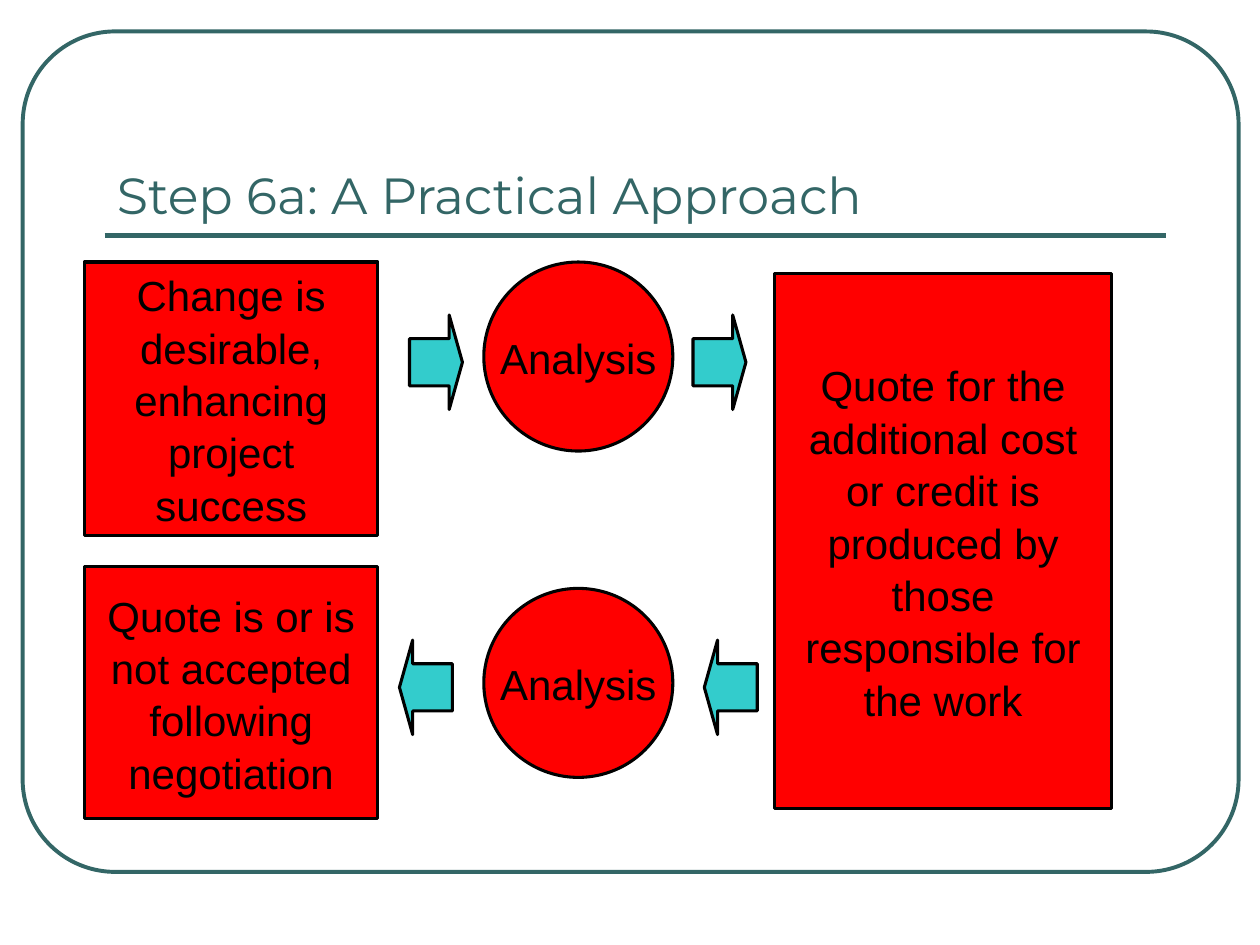
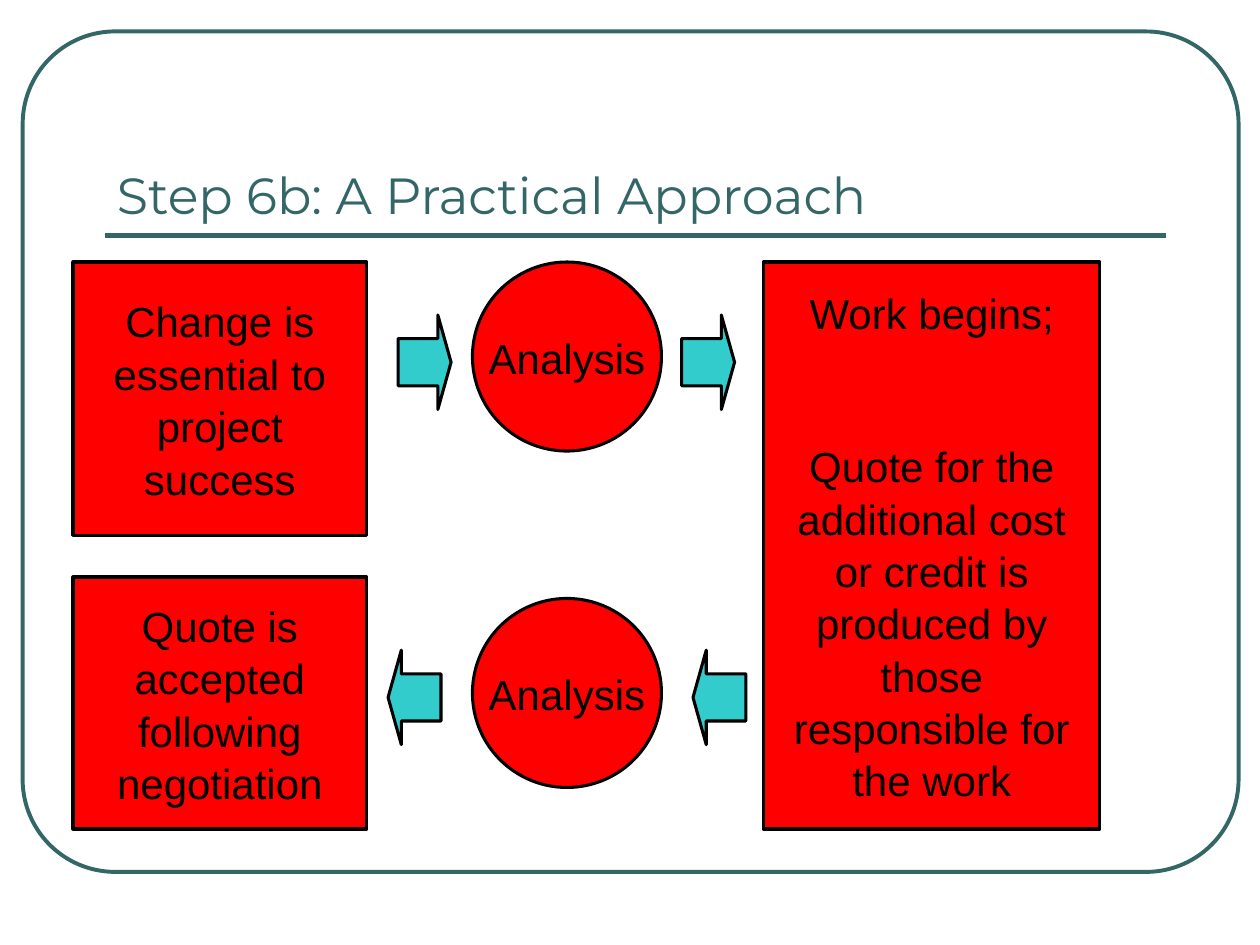
from pptx import Presentation
from pptx.dml.color import RGBColor
from pptx.enum.shapes import MSO_CONNECTOR, MSO_SHAPE
from pptx.enum.text import MSO_ANCHOR, PP_ALIGN
from pptx.oxml.ns import qn
from pptx.util import Inches, Pt
from lxml import etree

# Shared style
TEAL, RED, AQUA, BLACK = "336666", "FF0000", "33CCCC", "000000"
TITLE_FONT, BODY_FONT = "Montserrat", "Arial"
LINE_SPACING = 1.04
TOP = 2.08
QUOTE = ("Quote for the additional cost or credit is produced by "
         "those responsible for the work")


def rgb(color):
    return RGBColor.from_string(color)


def set_font(p, name, size, color):
    p.font.name = name
    p.font.size = Pt(size)
    p.font.color.rgb = rgb(color)


def add_preset(s, kind, x, y, w, h, fill, line=BLACK, width=1.75):
    sp = s.shapes.add_shape(kind, Inches(x), Inches(y), Inches(w), Inches(h))
    sp.shadow.inherit = False
    if fill:
        sp.fill.solid()
        sp.fill.fore_color.rgb = rgb(fill)
    else:
        sp.fill.background()
    sp.line.color.rgb = rgb(line)
    sp.line.width = Pt(width)
    return sp


def add_node(s, kind, x, y, w, h, *paragraphs, wrap=True):
    """Red step with centred text; later paragraphs stand two lines apart."""
    sp = add_preset(s, kind, x, y, w, h, RED)
    tf = sp.text_frame
    tf.word_wrap = wrap
    tf.vertical_anchor = MSO_ANCHOR.MIDDLE
    for i, text in enumerate(paragraphs):
        p = tf.add_paragraph() if i else tf.paragraphs[0]
        p.text = text
        p.alignment = PP_ALIGN.CENTER
        p.line_spacing = LINE_SPACING
        if i:
            p.space_before = Pt(57.5)
        set_font(p, BODY_FONT, 24, BLACK)


def add_analysis(s, x, y):
    add_node(s, MSO_SHAPE.OVAL, x, y, 1.5, 1.5, "Analysis", wrap=False)


def add_arrow(s, x, y, rotation=0):
    sp = add_preset(s, MSO_SHAPE.RIGHT_ARROW, x, y, 0.42, 0.75, AQUA)
    sp.adjustments[0] = 0.5
    sp.adjustments[1] = 0.25
    sp.rotation = rotation


def add_frame(s, title):
    # Rounded border
    border = add_preset(s, MSO_SHAPE.ROUNDED_RECTANGLE, 0.18, 0.25, 9.65, 6.67,
                        None, TEAL, 2.25)
    border.adjustments[0] = 0.11

    # Rule under the title
    rule = s.shapes.add_connector(MSO_CONNECTOR.STRAIGHT, Inches(0.83),
                                  Inches(1.87), Inches(9.25), Inches(1.87))
    rule.line.color.rgb = rgb(TEAL)
    rule.line.width = Pt(3)
    etree.SubElement(rule._element.spPr, qn("a:effectLst"))

    # Title
    box = s.shapes.add_textbox(Inches(0.83), Inches(0.58), Inches(8.42), Inches(1.25))
    tf = box.text_frame
    tf.word_wrap = True
    tf.vertical_anchor = MSO_ANCHOR.BOTTOM
    p = tf.paragraphs[0]
    p.text = title
    set_font(p, TITLE_FONT, 29, TEAL)


def add_process_slide(prs, title, left, change, outcome, outcome_top,
                      quote, quote_top, quote_height):
    s = prs.slides.add_slide(prs.slide_layouts[6])
    add_frame(s, title)

    # Outward row: change, analysis
    add_node(s, MSO_SHAPE.RECTANGLE, left, TOP, 2.33, 2.17, change)
    add_analysis(s, left + 3.17, TOP)
    for offset in (2.58, 4.83):
        add_arrow(s, left + offset, TOP + 0.42)

    # Quote column
    add_node(s, MSO_SHAPE.RECTANGLE, left + 5.48, quote_top, 2.67, quote_height, *quote)

    # Return row: analysis, outcome
    add_node(s, MSO_SHAPE.RECTANGLE, left, outcome_top, 2.33, 2, outcome)
    add_analysis(s, left + 3.17, outcome_top + 0.17)
    for offset in (2.5, 4.92):
        add_arrow(s, left + offset, outcome_top + 0.58, rotation=180)


def main():
    prs = Presentation()
    prs.slide_width = Inches(10)
    prs.slide_height = Inches(7.5)
    add_process_slide(
        prs, "Step 6a: A Practical Approach", 0.67,
        "Change is desirable, enhancing project success",
        "Quote is or is not accepted following negotiation", 4.5,
        [QUOTE], 2.17, 4.25)
    add_process_slide(
        prs, "Step 6b: A Practical Approach", 0.58,
        "Change is essential to project success",
        "Quote is accepted following negotiation", 4.58,
        ["Work begins;", QUOTE], TOP, 4.5)
    prs.save("out.pptx")


if __name__ == "__main__":
    main()
